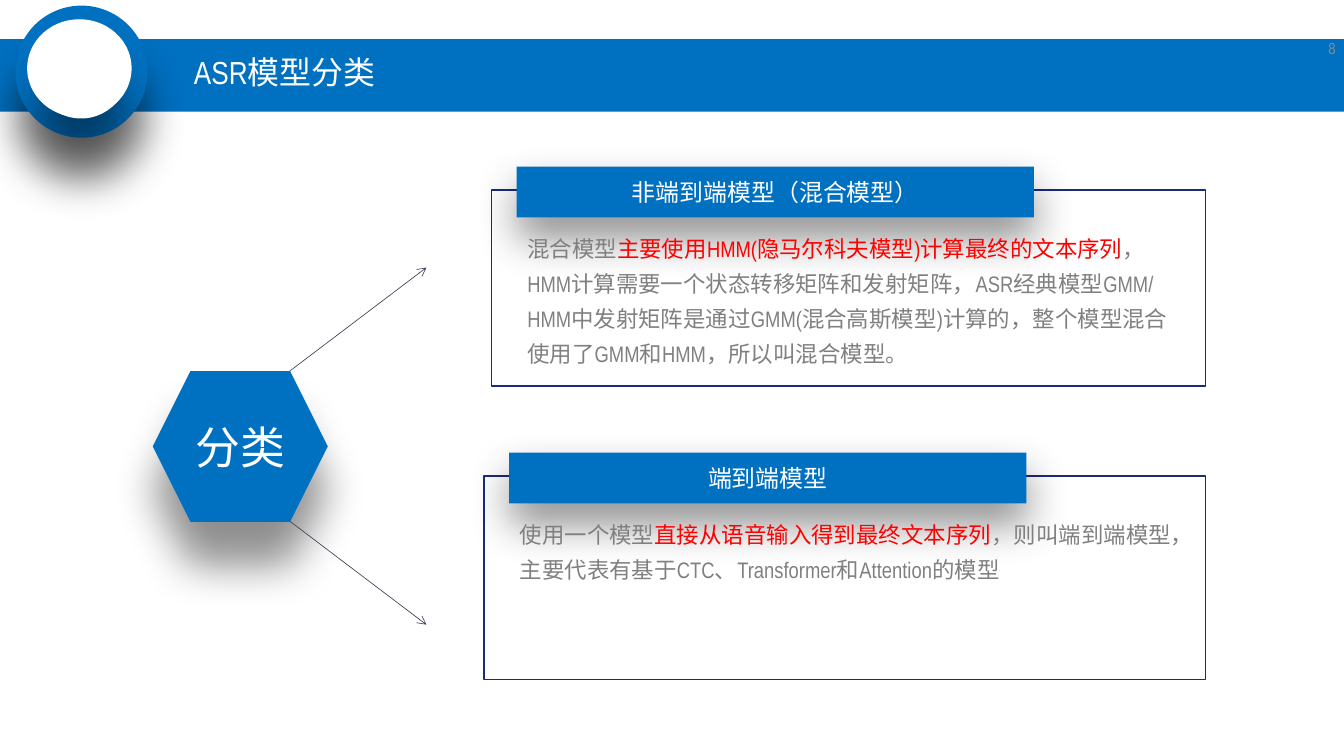
"""Builds the slide that sorts ASR models into hybrid and end-to-end ones."""
import lxml.etree
import pptx
import pptx.dml.color
import pptx.enum.shapes
import pptx.enum.text
import pptx.oxml
import pptx.oxml.ns
import pptx.util

Cm, Pt = pptx.util.Cm, pptx.util.Pt
SHAPE = pptx.enum.shapes.MSO_SHAPE
ALIGN = pptx.enum.text.PP_ALIGN
MIDDLE = pptx.enum.text.MSO_ANCHOR.MIDDLE
qn = pptx.oxml.ns.qn
rgb = pptx.dml.color.RGBColor.from_string
BLUE, WHITE, NAVY, GREY, RED = "0070C0", "FFFFFF", "1A2B78", "808080", "FF0000"


def draw(kind, left, top, width, height, fill=None, line=None, shadow=0):
    """Add a shape with an optional fill, outline and downward shadow distance in points."""
    shape = slide.shapes.add_shape(kind, Cm(left), Cm(top), Cm(width), Cm(height))
    shape.shadow.inherit = False
    if fill:
        shape.fill.solid()
        shape.fill.fore_color.rgb = rgb(fill)
    else:
        shape.fill.background()
    if line:
        shape.line.color.rgb = rgb(line)
        shape.line.width = Pt(1)
    else:
        shape.line.fill.background()
    if shadow:
        effects = shape._element.spPr.find(qn("a:effectLst"))
        outer = lxml.etree.SubElement(
            effects, qn("a:outerShdw"), blurRad=str(Pt(33)), dist=str(Pt(shadow)),
            dir="5400000", algn="t", rotWithShape="0")
        black = lxml.etree.SubElement(outer, qn("a:srgbClr"), val="000000")
        lxml.etree.SubElement(black, qn("a:alpha"), val="43000")
    return shape


def write(shape, size, align, *runs):
    """Fill a shape with one paragraph of (text, colour) runs."""
    frame = shape.text_frame
    frame.word_wrap = True
    frame.auto_size = pptx.enum.text.MSO_AUTO_SIZE.NONE
    frame.vertical_anchor = MIDDLE
    paragraph = frame.paragraphs[0]
    paragraph.alignment = align
    paragraph.font.size = Pt(size)
    paragraph.font.name = "Arial Narrow"
    for text, colour in runs:
        run = paragraph.add_run()
        run.text = text
        run.font.color.rgb = rgb(colour)
    return paragraph


deck = pptx.Presentation()
deck.slide_width, deck.slide_height = Cm(35.71), Cm(20.09)
slide = deck.slides.add_slide(deck.slide_layouts[5])

draw(SHAPE.RECTANGLE, 0, 1.04, 35.71, 1.93, BLUE)
draw(SHAPE.OVAL, 0.41, 0.15, 3.51, 3.51, BLUE, shadow=33)
draw(SHAPE.OVAL, 0.91, 0.66, 2.49, 2.49, WHITE, shadow=33)
draw(SHAPE.OVAL, 0.74, 0.53, 2.74, 2.57, WHITE, WHITE)

title = slide.shapes.title
title.left, title.top, title.width, title.height = Cm(4.9), Cm(1.27), Cm(8.81), Cm(1.4)
heading = write(title, 24, ALIGN.LEFT, ("ASR模型分类", WHITE))
heading.line_spacing = 0.9
heading.space_before = Pt(10)
slide.shapes._spTree.append(title._element)

page_number = slide.shapes.add_textbox(Cm(33.99), Cm(0.74), Cm(1.75), Cm(1.07))
write(page_number, 12, ALIGN.RIGHT, ("8", "8C8C8C"))

category = draw(SHAPE.HEXAGON, 4.06, 9.86, 4.65, 4.01, BLUE, shadow=33)
write(category, 33.8, ALIGN.CENTER, ("分类", WHITE))

for start, end in [(9.86, 7.11), (13.85, 16.6)]:
    arrow = slide.shapes.add_connector(
        pptx.enum.shapes.MSO_CONNECTOR.STRAIGHT, Cm(7.7), Cm(start), Cm(11.33), Cm(end))
    arrow.line.color.rgb = rgb("414455")
    arrow.line.width = Pt(0.5)
    lxml.etree.SubElement(arrow.line._get_or_add_ln(), qn("a:tailEnd"), type="arrow")
    lxml.etree.SubElement(arrow._element.spPr, qn("a:effectLst"))

frame_right = 32.04
models = [
    (13.06, 5.05, 5.21, "非端到端模型（混合模型）", "混合模型",
     "主要使用HMM(隐马尔科夫模型)计算最终的文本序列",
     "，HMM计算需要一个状态转移矩阵和发射矩阵，ASR经典模型GMM/HMM中发射矩阵是通过"
     "GMM(混合高斯模型)计算的，整个模型混合使用了GMM和HMM，所以叫混合模型。"),
    (12.86, 12.65, 5.41, "端到端模型", "使用一个模型",
     "直接从语音输入得到最终文本序列",
     "，则叫端到端模型，主要代表有基于CTC、Transformer和Attention的模型"),
]
for left, top, height, name, opening, key_point, details in models:
    draw(SHAPE.RECTANGLE, left, top, frame_right - left, height, line=NAVY)
    banner = draw(SHAPE.RECTANGLE, left + 0.67, top - 0.62, 13.74, 1.35, BLUE, shadow=15)
    write(banner, 18, ALIGN.CENTER, (name, WHITE))
    description = slide.shapes.add_textbox(
        Cm(left + 0.67), Cm(top + 0.85), Cm(frame_right - left - 1.28), Cm(3.8))
    body = write(description, 16.9, ALIGN.LEFT,
                 (opening, GREY), (key_point, RED), (details, GREY))
    body.line_spacing = 1.3
    description.text_frame.vertical_anchor = pptx.enum.text.MSO_ANCHOR.TOP
    description.text_frame.margin_left = description.text_frame.margin_right = Cm(0.28)

deck.save("out.pptx")
